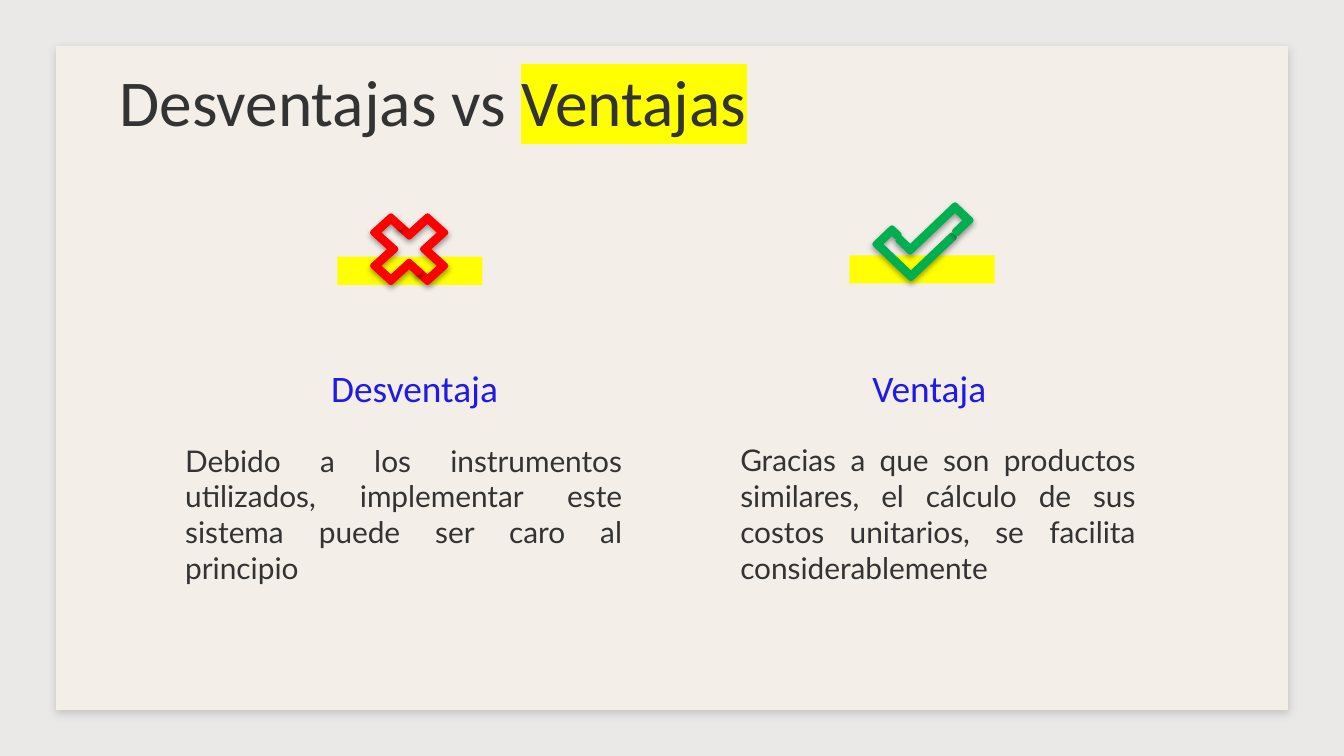
from dataclasses import dataclass
from lxml import etree
from pptx import Presentation
from pptx import util as u
from pptx.dml.color import RGBColor
from pptx.enum import shapes, text
from pptx.oxml import ns

HUES = {
    "back": "EBE9E7", "card": "F4EEE9", "ink": "333333", "blue": "1F1AE5",
    "mark": "FFFF00", "green": "00B050", "red": "FF0000", "black": "000000",
}
ALIGN, ANCHOR = text.PP_ALIGN, text.MSO_ANCHOR
PAD = 7.2     # inset of every text box
HALF = 0.55   # reach of an icon ribbon to each side of its path

# Both icons are drawn by diagonal steps
TURNS = {"NE": (1, -1), "SE": (1, 1), "SW": (-1, 1), "NW": (-1, -1)}
BACK = {"NE": "SW", "SW": "NE", "SE": "NW", "NW": "SE"}


@dataclass
class Walk:
    """A start point, (turn, length) steps, and a sideways stretch."""
    start: tuple
    steps: list
    wide: float

    def ribbon(self):
        """Closed outline that runs along one side and back on the other."""
        turns = [TURNS[turn] for turn, _ in self.steps]
        x = y = 0
        path = [(x, y)]
        for (dx, dy), (_, size) in zip(turns, self.steps):
            x, y = x + dx * size, y + dy * size
            path.append((x, y))
        # At a corner the offset is the sum of both normals
        norms = [(0, 0)] + [(-dy, dx) for dx, dy in turns] + [(0, 0)]
        sides = [(a + c, b + d) for (a, b), (c, d) in zip(norms, norms[1:])]
        left, right = (
            [(self.start[0] + self.wide * (x + side * a),
              self.start[1] + y + side * b)
             for (x, y), (a, b) in zip(path, sides)]
            for side in (HALF, -HALF))
        return left + right[::-1]


def cross(mid, arm=8.9, cap=7.7, stub=4.5, wide=1.1):
    """Two halves; the second is the first turned by 180 degrees."""
    half = [("SE", stub), ("NE", arm), ("SE", cap), ("SW", arm),
            ("SE", arm), ("SW", cap), ("NW", stub)]
    turned = [(BACK[turn], size) for turn, size in half]
    dx, dy = wide * stub, cap + stub
    x, y = mid
    return [Walk((x - dx, y - dy), half, wide),
            Walk((x + dx, y + dy), turned, wide)]


def check(heel, wide=1.05):
    """Lower edge with the short arm, then upper edge with the long arm."""
    x, y = heel
    low = [("SW", 21.4), ("NW", 17.2), ("NE", 7.5), ("SE", 3)]
    high = [("SE", 5.6), ("NE", 22.8), ("SE", 7), ("SW", 6.5)]
    return [Walk((x + 22.5, y - 21.4), low, wide),
            Walk((x - 6.2, y - 19.8), high, wide)]


@dataclass
class Column:
    head: str
    left: float    # heading
    body: str
    box: tuple     # body: left, width, height
    bar: tuple     # highlight bar: left, top
    icon: list
    hue: str


COLUMNS = [
    Column("Desventaja", 113.76,
           "Debido a los instrumentos utilizados, implementar este sistema "
           "puede ser caro al principio",
           (92.16, 248.4, 78.48), (180.72, 137.52),
           cross(mid=(219.2, 133.5)), "red"),
    Column("Ventaja", 389.52,
           "Gracias a que son productos similares, el cálculo de sus costos "
           "unitarios, se facilita considerablemente",
           (389.52, 226.08, 108), (455.04, 136.8),
           check(heel=(488, 148)), "green"),
]


class Deck:
    def __init__(self):
        self.prs = Presentation()
        self.prs.slide_width, self.prs.slide_height = u.Pt(720), u.Pt(405)
        self.slide = self.prs.slides.add_slide(self.prs.slide_layouts[6])
        self.paint(self.slide.background.fill, "back")

    def paint(self, fill, hue):
        fill.solid()
        fill.fore_color.rgb = RGBColor.from_string(HUES[hue])

    def edge(self, item, hue, width):
        self.paint(item.line.fill, hue)
        item.line.width = u.Pt(width)

    def shade(self, item, hue, alpha, blur, dist):
        item.shadow.inherit = False
        effects = item._element.spPr.find(ns.qn("a:effectLst"))
        drop = etree.SubElement(
            effects, ns.qn("a:outerShdw"), blurRad=str(u.Pt(blur)),
            dist=str(u.Pt(dist)), dir="5400000", algn="t", rotWithShape="0")
        color = etree.SubElement(drop, ns.qn("a:srgbClr"), val=HUES[hue])
        etree.SubElement(color, ns.qn("a:alpha"), val=str(alpha * 1000))

    def rect(self, box, hue):
        item = self.slide.shapes.add_shape(
            shapes.MSO_SHAPE.RECTANGLE, *map(u.Pt, box))
        item.shadow.inherit = False
        self.paint(item.fill, hue)
        item.line.fill.background()
        return item

    def card(self, box):
        item = self.rect(box, "card")
        self.edge(item, "card", 0.75)
        self.shade(item, "ink", 20, 4.5, 1.5)

    def icon(self, walks, hue):
        group = self.slide.shapes.add_group_shape()
        for walk in walks:
            first, *rest = [(u.Pt(x), u.Pt(y)) for x, y in walk.ribbon()]
            pen = group.shapes.build_freeform(*first)
            pen.add_line_segments(rest, close=True)
            item = pen.convert_to_shape()
            self.paint(item.fill, hue)
            self.edge(item, hue, 3)
            etree.SubElement(item.line._ln, ns.qn("a:round"))
            self.shade(item, "black", 38, 3.1, 1.6)

    def words(self, box, runs, size, hue, font, align, anchor):
        frame = self.slide.shapes.add_textbox(*map(u.Pt, box)).text_frame
        frame.word_wrap = True
        frame.vertical_anchor = anchor
        frame.margin_left = frame.margin_right = u.Pt(PAD)
        frame.margin_top = frame.margin_bottom = u.Pt(PAD)
        para = frame.paragraphs[0]
        para.alignment = align
        for words in runs:
            run = para.add_run()
            run.text = words
            run.font.size = u.Pt(size)
            run.font.name = font
            self.paint(run.font.fill, hue)
        return para

    def mark(self, run):
        light = etree.Element(ns.qn("a:highlight"))
        etree.SubElement(light, ns.qn("a:srgbClr"), val=HUES["mark"])
        run.font._element.find(ns.qn("a:latin")).addprevious(light)

    def column(self, col):
        left, width, height = col.box
        self.words((col.left, 194.9, 216.72, 31.68), [col.head], 20, "blue",
                   "Calibri", ALIGN.CENTER, ANCHOR.BOTTOM)
        self.words((left, 229.68, width, height), [col.body], 16, "ink",
                   "Lato", ALIGN.JUSTIFY, ANCHOR.TOP)
        self.rect((*col.bar, 77.76, 15.12), "mark")
        self.icon(col.icon, col.hue)


def main():
    deck = Deck()
    deck.card((30.24, 25.2, 659.52, 354.96))

    # Title with its last word highlighted
    title = deck.words((56.88, 35.1, 606.96, 45.36),
                       ["Desventajas vs ", "Ventajas"], 35, "ink", "Calibri",
                       ALIGN.LEFT, ANCHOR.MIDDLE)
    title.line_spacing = 0.8
    deck.mark(title.runs[-1])

    for col in COLUMNS:
        deck.column(col)

    deck.prs.save("out.pptx")


if __name__ == "__main__":
    main()
